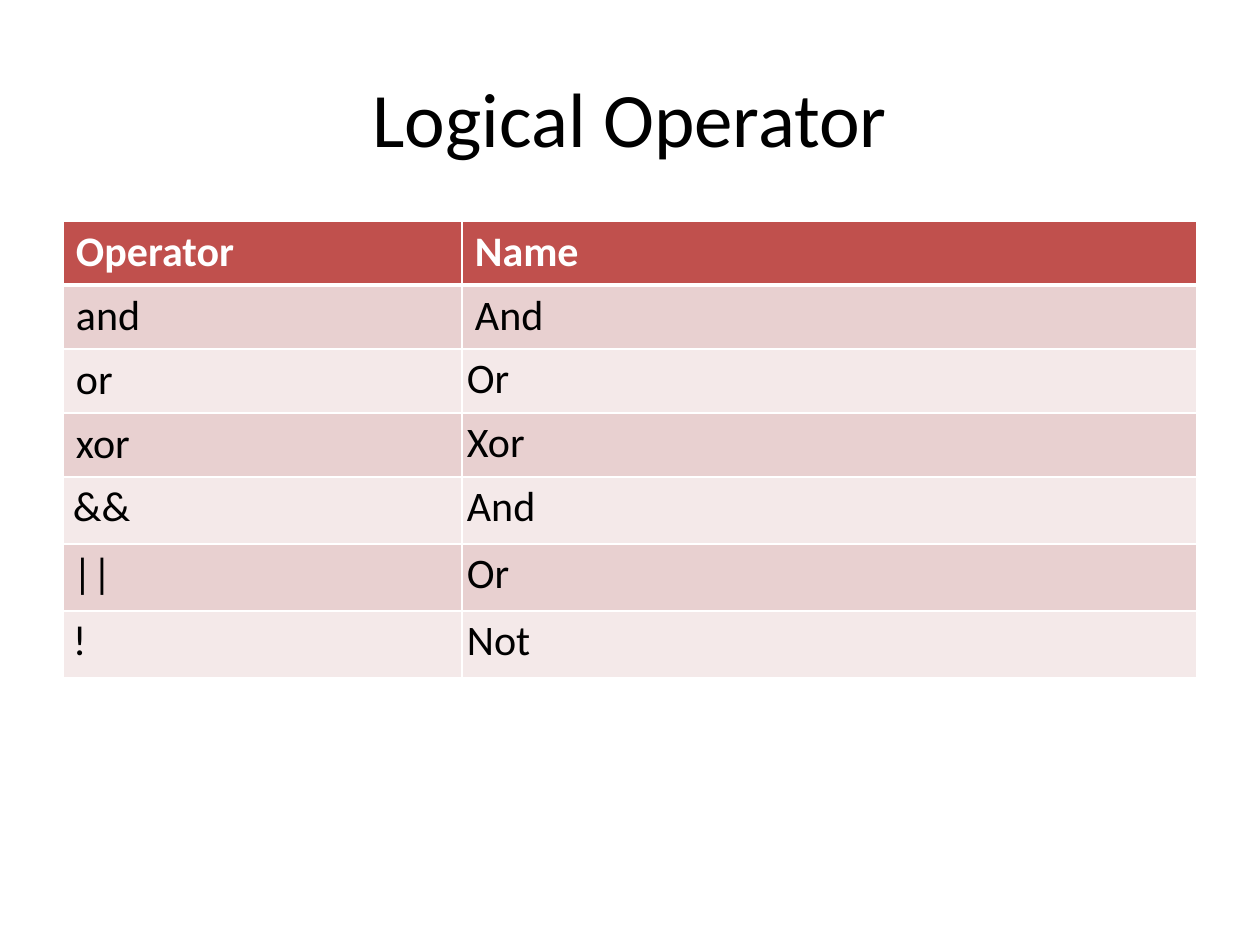
from lxml.etree import SubElement
from pptx import Presentation
from pptx.dml.color import RGBColor
from pptx.enum.text import MSO_ANCHOR, PP_ALIGN
from pptx.oxml.ns import qn
from pptx.util import Pt

THEME = {
    "font": "Calibri", "title": 44, "body": 24,
    "ink": "000000", "white": "FFFFFF",
    "head": "C0504D", "bands": ("F4E9E9", "E8D0D0"),
}
SIDES = ("left", "top", "right", "bottom")
WIDE, TIGHT, INDENT = (13, 6, 13, 6), (5, 5, 5, 5), (10, 5, 5, 5)
COLS = (399, 735)
# left text, left insets, right text, right insets, row height
ROWS = (
    ("Operator", WIDE, "Name", WIDE, 64),
    ("and", WIDE, "And", WIDE, 64),
    ("or", WIDE, "Or", TIGHT, 64),
    ("xor", WIDE, "Xor", TIGHT, 64),
    ("&&", INDENT, "And", TIGHT, 67),
    ("||", INDENT, "Or", TIGHT, 67),
    ("!", INDENT, "Not", TIGHT, 67),
)


def px(n):
    return round(n * 914400 / 126)


def write(para, text, size, color, bold=False):
    run = para.add_run()
    run.text = text
    look = {"name": THEME["font"], "size": Pt(size), "bold": bold}
    for key, val in look.items():
        setattr(run.font, key, val)
    run.font.color.rgb = RGBColor.from_string(color)


deck = Presentation()
deck.slide_width, deck.slide_height = px(1260), px(945)
slide = deck.slides.add_slide(deck.slide_layouts[6])

title = slide.shapes.add_textbox(px(63), px(38), px(1134), px(157))
frame = title.text_frame
for key, val in {"word_wrap": True, "vertical_anchor": MSO_ANCHOR.MIDDLE}.items():
    setattr(frame, key, val)
frame.paragraphs[0].alignment = PP_ALIGN.CENTER
write(frame.paragraphs[0], "Logical Operator", THEME["title"], THEME["ink"])

high = sum(row[-1] for row in ROWS)
table = slide.shapes.add_table(
    len(ROWS), len(COLS), px(63), px(221), px(sum(COLS)), px(high)).table
for col, wide in zip(table.columns, COLS):
    col.width = px(wide)

for r, (left, lpad, right, rpad, tall) in enumerate(ROWS):
    table.rows[r].height = px(tall)
    fill = THEME["bands"][r % 2] if r else THEME["head"]
    ink = THEME["ink"] if r else THEME["white"]
    for c, (text, pad) in enumerate(((left, lpad), (right, rpad))):
        cell = table.cell(r, c)
        for side, gap in zip(SIDES, pad):
            setattr(cell, "margin_" + side, px(gap))
        write(cell.text_frame.paragraphs[0], text, THEME["body"], ink, r == 0)
        props = cell._tc.get_or_add_tcPr()
        for edge in "LRTB":
            # The rule under the header is thicker than the rest
            thick = (r, edge) in ((0, "B"), (1, "T"))
            line = SubElement(props, qn("a:ln" + edge), w=str(Pt(3 if thick else 1)))
            paint = SubElement(line, qn("a:solidFill"))
            SubElement(paint, qn("a:srgbClr"), val=THEME["white"])
        cell.fill.solid()
        cell.fill.fore_color.rgb = RGBColor.from_string(fill)

deck.save("out.pptx")
